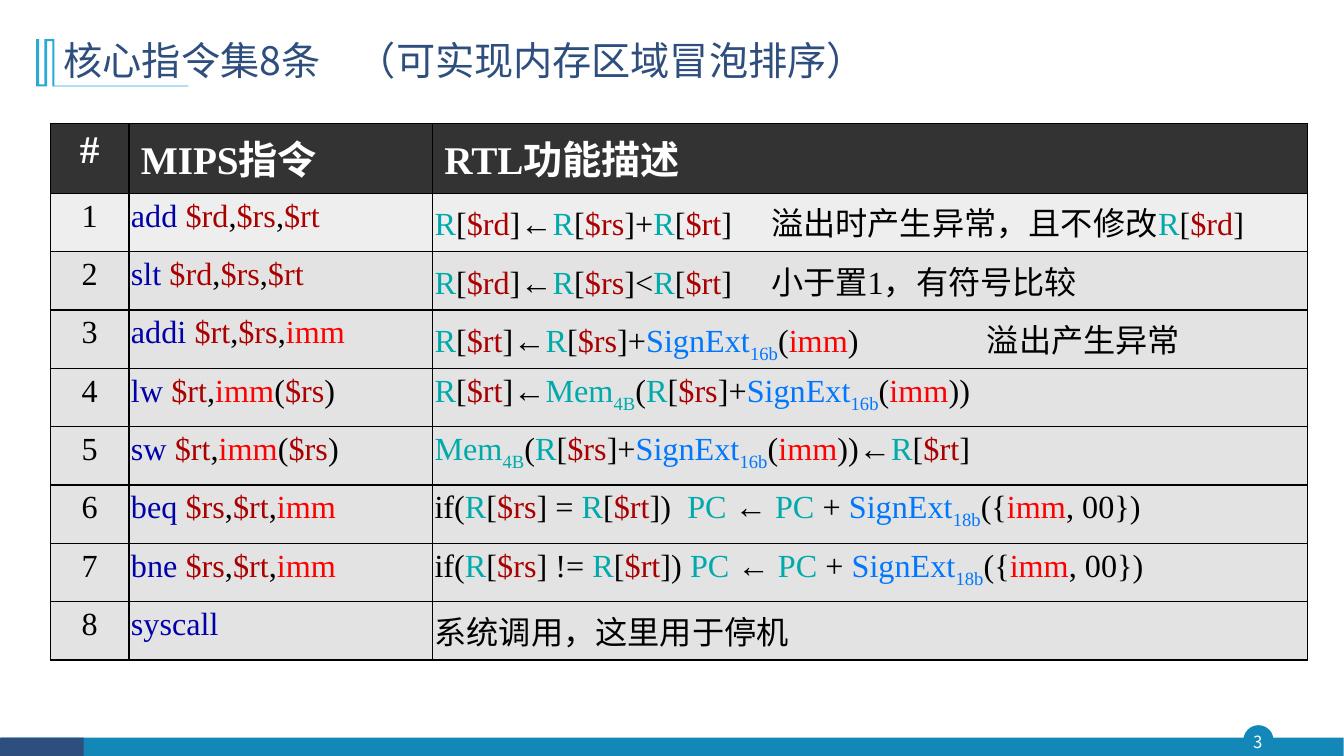
from dataclasses import dataclass
from itertools import groupby

from lxml import etree
from pptx import Presentation
from pptx import util as u
from pptx.dml.color import RGBColor
from pptx.enum import shapes, text
from pptx.oxml import ns
from pptx.util import Cm


@dataclass(frozen=True)
class Theme:
    heading_font: str = "Noto Sans CJK SC"
    table_font: str = "Times New Roman"
    title_size: int = 28
    header_size: int = 28
    body_size: int = 23
    number_size: int = 12
    navy: str = "2E4E7E"
    blue: str = "1387B7"
    sky: str = "28A9D6"
    white: str = "FFFFFF"
    black: str = "000000"
    header_fill: str = "333333"
    first_fill: str = "EEEEEE"
    row_fill: str = "E3E3E3"
    mnemonic: str = "0000AA"
    register: str = "AA0000"
    immediate: str = "FF0000"
    storage: str = "00AAAA"
    extension: str = "0077FF"


THEME = Theme()
WORD_COLOURS = {
    "imm": THEME.immediate,
    "SignExt": THEME.extension,
    **dict.fromkeys(("R", "Mem", "PC"), THEME.storage),
    **dict.fromkeys(("add", "slt", "addi", "lw", "sw", "beq", "bne", "syscall"),
                    THEME.mnemonic),
}
HEADERS = ("#", "MIPS指令", "RTL功能描述")
# Instruction, description ("_" starts a subscript), tab stop in cm
INSTRUCTIONS = (
    ("add $rd,$rs,$rt", "R[$rd]←R[$rs]+R[$rt]\t溢出时产生异常，且不修改R[$rd]", 8.48),
    ("slt $rd,$rs,$rt", "R[$rd]←R[$rs]<R[$rt]\t小于置1，有符号比较", 8.48),
    ("addi $rt,$rs,imm", "R[$rt]←R[$rs]+SignExt_16b(imm)\t溢出产生异常", 13.92),
    ("lw $rt,imm($rs)", "R[$rt]←Mem_4B(R[$rs]+SignExt_16b(imm))", None),
    ("sw $rt,imm($rs)", "Mem_4B(R[$rs]+SignExt_16b(imm))←R[$rt]", None),
    ("beq $rs,$rt,imm", "if(R[$rs] = R[$rt])\tPC ← PC + SignExt_18b({imm, 00})", 6.37),
    ("bne $rs,$rt,imm", "if(R[$rs] != R[$rt]) PC ← PC + SignExt_18b({imm, 00})", None),
    ("syscall", "系统调用，这里用于停机", None),
)
COLUMN_WIDTHS = (1.98, 7.65, 22.05)
HEADER_HEIGHT, ROW_HEIGHT = 1.75, 1.47
BRACKET_POINTS = (
    (1.37, 0.99), (1.37, 2.16), (4.75, 2.16), (4.75, 2.18), (1.32, 2.18),
    (1.32, 1.04), (1.19, 1.04), (1.19, 2.18), (0.91, 2.18), (0.91, 0.99),
    (0.99, 0.99), (0.99, 2.13), (1.12, 2.13), (1.12, 0.99),
)


def rgb(colour):
    return RGBColor.from_string(colour)


def format_paragraph(paragraph, font_name, size, colour, bold=False,
                     align=text.PP_ALIGN.LEFT, tab=None):
    paragraph.alignment = align
    if tab:
        tabs = etree.SubElement(paragraph._p.get_or_add_pPr(), ns.qn("a:tabLst"))
        etree.SubElement(tabs, ns.qn("a:tab"), pos=str(Cm(tab)), algn="l")
    font = paragraph.font
    font.name, font.size, font.bold = font_name, u.Pt(size), bold
    font.color.rgb = rgb(colour)
    latin = font._element.find(ns.qn("a:latin"))
    east_asian = etree.Element(ns.qn("a:ea"), typeface=THEME.heading_font)
    latin.addnext(east_asian)


def set_margins(target, left, top, right, bottom):
    target.margin_left, target.margin_top = Cm(left), Cm(top)
    target.margin_right, target.margin_bottom = Cm(right), Cm(bottom)


def paint(shape, colour):
    shape.shadow.inherit = False
    shape.fill.solid()
    shape.fill.fore_color.rgb = rgb(colour)
    shape.line.fill.background()


def add_block(slide, kind, left, top, width, height, colour):
    shape = slide.shapes.add_shape(kind, Cm(left), Cm(top), Cm(width), Cm(height))
    paint(shape, colour)
    return shape


def add_title_bracket(slide):
    points = [(Cm(x), Cm(y)) for x, y in BRACKET_POINTS]
    builder = slide.shapes.build_freeform(*points[0])
    builder.add_line_segments(points[1:], close=True)
    paint(builder.convert_to_shape(), THEME.sky)


def add_footer(slide):
    kinds = shapes.MSO_SHAPE
    badge = add_block(slide, kinds.OVAL, 31.37, 18.31, 0.69, 0.69, THEME.blue)
    badge.line.color.rgb = rgb(THEME.blue)
    badge.line.width = u.Pt(2)
    add_block(slide, kinds.RECTANGLE, 0.03, 18.59, 33.83, 0.48, THEME.blue)
    add_block(slide, kinds.RECTANGLE, 0, 18.59, 2.11, 0.48, THEME.navy)
    number = slide.shapes.add_textbox(Cm(31.29), Cm(18.31), Cm(0.81), Cm(0.79))
    frame = number.text_frame
    frame.word_wrap = True
    frame.vertical_anchor = text.MSO_ANCHOR.MIDDLE
    set_margins(frame, 0, 0, 0, 0)
    frame.text = "3"
    format_paragraph(frame.paragraphs[0], THEME.heading_font, THEME.number_size,
                     THEME.white, align=text.PP_ALIGN.CENTER)


def set_title(slide, wording):
    title = slide.shapes.title
    title.left, title.top, title.width, title.height = (
        Cm(1.35), Cm(0.71), Cm(29.21), Cm(1.73))
    frame = title.text_frame
    frame.auto_size = text.MSO_AUTO_SIZE.NONE
    frame.vertical_anchor = text.MSO_ANCHOR.MIDDLE
    frame.text = wording
    paragraph = frame.paragraphs[0]
    format_paragraph(paragraph, THEME.heading_font, THEME.title_size, THEME.navy, tab=7.39)
    paragraph.line_spacing = 0.9


def is_word_character(character):
    return character.isascii() and (character.isalnum() or character in "$_")


def tokens(code):
    """Yield (text, colour, is subscript) for each word or gap in the code."""
    for is_word, characters in groupby(code, is_word_character):
        word, _, subscript = "".join(characters).partition("_")
        colour = WORD_COLOURS.get(word, THEME.black) if is_word else THEME.black
        if word.startswith("$"):
            colour = THEME.register
        yield word, colour, False
        if subscript:
            yield subscript, colour, True


def add_code(paragraph, code):
    for (colour, subscript), group in groupby(tokens(code), lambda token: token[1:]):
        run = paragraph.add_run()
        run.text = "".join(token[0] for token in group)
        run.font.color.rgb = rgb(colour)
        if subscript:
            run.font._element.set("baseline", "-25000")


def set_borders(cell):
    properties = cell._tc.get_or_add_tcPr()
    for index, side in enumerate(("lnL", "lnR", "lnT", "lnB")):
        line = etree.Element(ns.qn(f"a:{side}"), w=str(u.Pt(0.96)))
        fill = etree.SubElement(line, ns.qn("a:solidFill"))
        etree.SubElement(fill, ns.qn("a:srgbClr"), val=THEME.black)
        properties.insert(index, line)


def prepare_cell(cell, fill, left_margin=0.05):
    set_margins(cell, left_margin, 0.13, 0.05, 0.13)
    cell.fill.solid()
    cell.fill.fore_color.rgb = rgb(fill)
    set_borders(cell)
    return cell.text_frame.paragraphs[0]


def column_alignment(column):
    return text.PP_ALIGN.JUSTIFY if column else text.PP_ALIGN.CENTER


def add_instruction_table(slide):
    height = HEADER_HEIGHT + ROW_HEIGHT * len(INSTRUCTIONS)
    table = slide.shapes.add_table(
        len(INSTRUCTIONS) + 1, len(HEADERS), Cm(1.27), Cm(3.12),
        Cm(sum(COLUMN_WIDTHS)), Cm(height)).table
    table.horz_banding = False
    for column, width in zip(table.columns, COLUMN_WIDTHS):
        column.width = Cm(width)
    for index, row in enumerate(table.rows):
        row.height = Cm(ROW_HEIGHT if index else HEADER_HEIGHT)

    for column, heading in enumerate(HEADERS):
        paragraph = prepare_cell(table.cell(0, column), THEME.header_fill,
                                 0.3 if column else 0.05)
        paragraph.text = heading
        format_paragraph(paragraph, THEME.table_font, THEME.header_size, THEME.white,
                         bold=True, align=column_alignment(column))
    for row, (instruction, description, tab) in enumerate(INSTRUCTIONS, 1):
        fill = THEME.first_fill if row == 1 else THEME.row_fill
        for column, code in enumerate((str(row), instruction, description)):
            paragraph = prepare_cell(table.cell(row, column), fill)
            format_paragraph(paragraph, THEME.table_font, THEME.body_size, THEME.black,
                             align=column_alignment(column),
                             tab=tab if column == 2 else None)
            add_code(paragraph, code)


def main():
    presentation = Presentation()
    presentation.slide_width, presentation.slide_height = Cm(33.87), Cm(19.05)
    slide = presentation.slides.add_slide(presentation.slide_layouts.get_by_name("Title Only"))
    add_footer(slide)
    add_title_bracket(slide)
    set_title(slide, "核心指令集8条\t（可实现内存区域冒泡排序）")
    add_instruction_table(slide)
    presentation.save("out.pptx")


if __name__ == "__main__":
    main()
